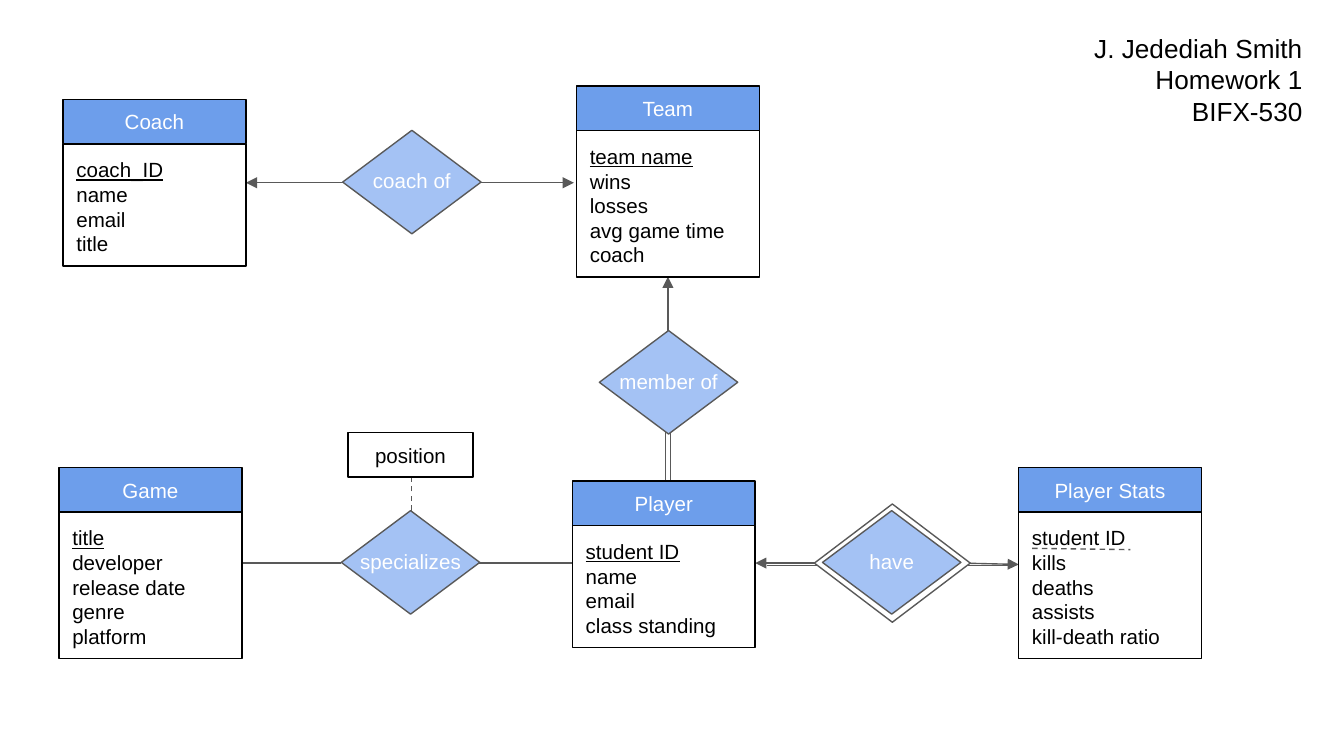
from lxml import etree
from pptx import Presentation
from pptx.dml.color import RGBColor
from pptx.enum.dml import MSO_LINE
from pptx.enum.shapes import MSO_CONNECTOR, MSO_SHAPE
from pptx.enum.text import MSO_ANCHOR, PP_ALIGN
from pptx.oxml.ns import qn
from pptx.util import Pt

PX = 9144
WHITE = RGBColor(0xFF, 0xFF, 0xFF)
BLACK = RGBColor(0, 0, 0)
GRAY = RGBColor(0x59, 0x59, 0x59)
BLUE = RGBColor(0x6D, 0x9E, 0xEB)
PALE = RGBColor(0xA4, 0xC2, 0xF4)
RECT, DIAMOND = MSO_SHAPE.RECTANGLE, MSO_SHAPE.DIAMOND
LEFT, CENTER, RIGHT = PP_ALIGN.LEFT, PP_ALIGN.CENTER, PP_ALIGN.RIGHT
TOP, MIDDLE = MSO_ANCHOR.TOP, MSO_ANCHOR.MIDDLE
STRAIGHT, DASH = MSO_CONNECTOR.STRAIGHT, MSO_LINE.DASH

AUTHOR = ["J. Jedediah Smith", "Homework 1", "BIFX-530"]
ENTITIES = [
    ("Coach", 47, 74, True, ["coach_ID", "name", "email", "title"]),
    ("Team", 429, 64, True,
     ["team name", "wins", "losses", "avg game time", "coach"]),
    ("Player Stats", 758, 348, False,
     ["student ID", "kills", "deaths", "assists", "kill-death ratio"]),
    ("Player", 426, 358, True,
     ["student ID", "name", "email", "class standing"]),
    ("Game", 44, 348, True,
     ["title", "developer", "release date", "genre", "platform"]),
]
RELATIONS = [
    ("specializes", 254, 380, False),
    ("member of", 446, 246, False),
    ("have", 612, 380, True),
    ("coach of", 255, 97, False),
]
ARROWS = [
    (265, 136, 183, 136),
    (355, 136, 427, 136),
    (497, 246, 497, 206),
    (612, 419, 562, 419),
    (715, 419, 758, 420),
]
LINES = [
    (703, 421, 750, 421),
    (571, 421, 618, 421),
    (499, 362, 499, 314),
    (495, 362, 495, 315),
    (341, 419, 453, 419),
    (254, 419, 172, 419),
]
ATTRIBUTE_LINK = (306, 380, 306, 355)
PARTIAL_KEY = (768, 408, 841, 409)

ENTITY_W, HEAD_H, ROW_H, BODY_PAD = 136, 33, 18, 19
DIAMOND_W, DIAMOND_H, LABEL_W, LABEL_H = 103, 77, 107, 39

prs = Presentation()
prs.slide_width = 1000 * PX
prs.slide_height = prs.slide_width * 9 // 16
s = prs.slides.add_slide(prs.slide_layouts[6])


def box(*rect):
    return [v * PX for v in rect]


def write(sp, lines, color, align=CENTER, anchor=MIDDLE, size=11, inset=10,
          key=False):
    tf = sp.text_frame
    frame = {"word_wrap": True, "vertical_anchor": anchor,
             "margin_left": 10 * PX, "margin_right": 10 * PX,
             "margin_top": inset * PX, "margin_bottom": inset * PX}
    for name, value in frame.items():
        setattr(tf, name, value)
    for i, line in enumerate(lines):
        p = tf.add_paragraph() if i else tf.paragraphs[0]
        p.alignment, p.line_spacing = align, Pt(size * 1.2)
        r = p.add_run()
        r.text = line
        font = {"name": "Arial", "size": Pt(size), "underline": key and i == 0}
        for name, value in font.items():
            setattr(r.font, name, value)
        r.font.color.rgb = color


def shape(kind, rect, fill, line):
    sp = s.shapes.add_shape(kind, *box(*rect))
    sp.shadow.inherit = False
    sp.fill.solid()
    sp.fill.fore_color.rgb = fill
    sp.line.color.rgb = line
    sp.line.width = Pt(0.75)
    return sp


def connect(points, arrow=False, dash=None):
    c = s.shapes.add_connector(STRAIGHT, *box(*points))
    c.line.color.rgb = GRAY
    c.line.width = Pt(0.75)
    if dash:
        c.line.dash_style = dash
    if arrow:
        etree.SubElement(c.line._get_or_add_ln(), qn("a:tailEnd"), type="triangle")
    etree.SubElement(c._element.spPr, qn("a:effectLst"))


def entity(name, x, y, key, fields):
    head = shape(RECT, (x, y, ENTITY_W, HEAD_H), BLUE, BLACK)
    write(head, [name], WHITE)
    height = ROW_H * len(fields) + BODY_PAD
    body = shape(RECT, (x, y + HEAD_H, ENTITY_W, height), WHITE, BLACK)
    write(body, fields, BLACK, LEFT, TOP, key=key)


def relation(name, x, y, identifying):
    if identifying:
        shape(DIAMOND, (x - 6, y - 5, 116, 88), WHITE, GRAY)
    shape(DIAMOND, (x, y, DIAMOND_W, DIAMOND_H), PALE, GRAY)
    label = s.shapes.add_textbox(*box(x - 2, y + 19, LABEL_W, LABEL_H))
    write(label, [name], WHITE, anchor=TOP)


for points in LINES:
    connect(points)
for points in ARROWS:
    connect(points, arrow=True)
connect(ATTRIBUTE_LINK, dash=DASH)
for item in ENTITIES:
    entity(*item)
for item in RELATIONS:
    relation(*item)
write(shape(RECT, (259, 322, 93, 33), WHITE, BLACK), ["position"], BLACK)
connect(PARTIAL_KEY, dash=DASH)
author = s.shapes.add_textbox(*box(722, 19, 257, 81))
write(author, AUTHOR, BLACK, RIGHT, TOP, size=14, inset=5)

prs.save("out.pptx")
